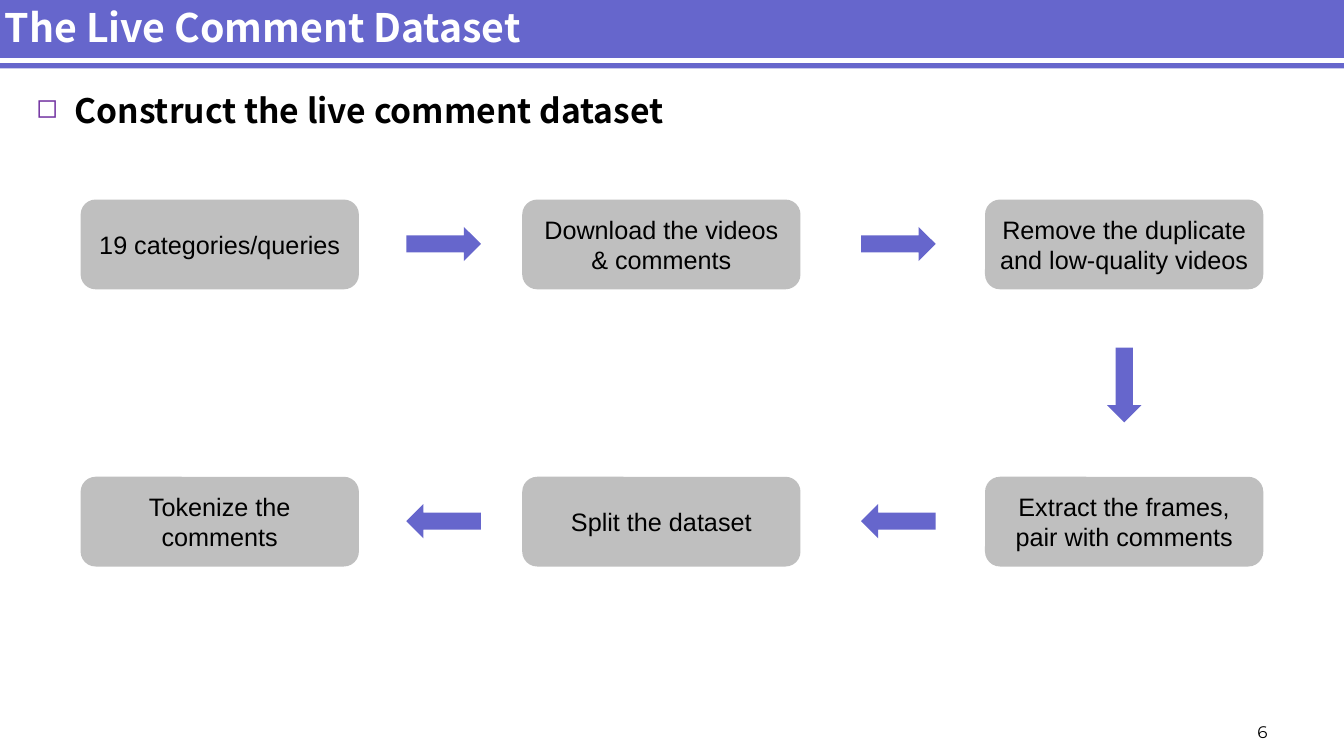
from lxml.etree import SubElement
from pptx import Presentation
from pptx.dml.color import RGBColor
from pptx.enum.shapes import MSO_CONNECTOR, MSO_SHAPE
from pptx.enum.text import MSO_ANCHOR, PP_ALIGN
from pptx.oxml.ns import qn
from pptx.util import Inches, Pt

PURPLE, GRAY, WHITE, BLACK = "6666CC", "BFBFBF", "FFFFFF", "000000"
HEADING_FONT = "Noto Sans CJK SC"
COLUMNS = (0.8, 5.18, 9.77)
ROWS = (1.98, 4.73)
STEP_WIDTH, STEP_HEIGHT = 2.76, 0.89
ARROW_WIDTH, ARROW_HEIGHT = 0.74, 0.34
STEPS = (
    ("19 categories/queries", 0, 0),
    ("Download the videos & comments", 1, 0),
    ("Remove the duplicate and low-quality videos", 2, 0),
    ("Extract the frames, pair with comments", 2, 1),
    ("Split the dataset", 1, 1),
    ("Tokenize the comments", 0, 1),
)
ARROWS = (
    (4.4, 2.42, 0),
    (8.91, 2.42, 0),
    (11.15, 3.82, 90),
    (8.91, 5.17, 180),
    (4.4, 5.17, 180),
)


def color(value):
    """Turn a hex string into a color."""
    return RGBColor.from_string(value)


def write(box, text, size, font, fill=BLACK, bold=False,
          align=PP_ALIGN.LEFT, anchor=MSO_ANCHOR.MIDDLE):
    """Put one styled paragraph in a box and return it."""
    frame = box.text_frame
    frame.word_wrap = True
    frame.vertical_anchor = anchor
    paragraph = frame.paragraphs[0]
    paragraph.text = text
    paragraph.alignment = align
    paragraph.font.size = Pt(size)
    paragraph.font.name = font
    paragraph.font.bold = bold
    paragraph.font.color.rgb = color(fill)
    return paragraph


def add_text(page, place, text, size, font, **style):
    """Add a text box at a place given in inches."""
    box = page.shapes.add_textbox(*map(Inches, place))
    write(box, text, size, font, **style)
    return box


def add_block(page, kind, place, fill):
    """Add a flat filled shape without an outline."""
    block = page.shapes.add_shape(kind, *map(Inches, place))
    block.shadow.inherit = False
    block.fill.solid()
    block.fill.fore_color.rgb = color(fill)
    block.line.fill.background()
    return block


def add_rule(page, left, right, top):
    """Add the white line that splits the title band."""
    rule = page.shapes.add_connector(
        MSO_CONNECTOR.STRAIGHT, Inches(left), Inches(top), Inches(right), Inches(top))
    rule.line.color.rgb = color(WHITE)
    rule.line.width = Pt(3)
    SubElement(rule._element.spPr, qn("a:effectLst"))


def add_topic(page, text):
    """Add the topic line with its hollow square bullet."""
    box = page.shapes.add_textbox(*map(Inches, (0.26, 0.84, 12.6, 6.14)))
    paragraph = box.text_frame.paragraphs[0]
    properties = paragraph._p.get_or_add_pPr()
    properties.set("marL", str(Inches(0.38)))
    properties.set("indent", str(-Inches(0.38)))
    bullet_color = SubElement(properties, qn("a:buClr"))
    SubElement(bullet_color, qn("a:srgbClr"), val="7030A0")
    SubElement(properties, qn("a:buSzPct"), val="80000")
    SubElement(properties, qn("a:buChar"), char="◻")
    write(box, text, 24, HEADING_FONT, bold=True, anchor=MSO_ANCHOR.TOP)
    paragraph.space_after = Pt(12)


def add_step(page, text, column, row):
    """Add one step of the flow in its grid cell."""
    place = (COLUMNS[column], ROWS[row], STEP_WIDTH, STEP_HEIGHT)
    step = add_block(page, MSO_SHAPE.ROUNDED_RECTANGLE, place, GRAY)
    write(step, text, 18, "Arial", align=PP_ALIGN.CENTER)


def add_arrow(page, center, middle, turn):
    """Add a block arrow around its center, turned clockwise."""
    place = (center - ARROW_WIDTH / 2, middle - ARROW_HEIGHT / 2,
             ARROW_WIDTH, ARROW_HEIGHT)
    arrow = add_block(page, MSO_SHAPE.RIGHT_ARROW, place, PURPLE)
    arrow.rotation = turn


def main():
    """Build the slide and save it."""
    deck = Presentation()
    deck.slide_width, deck.slide_height = Inches(13.33), Inches(7.5)
    page = deck.slides.add_slide(deck.slide_layouts[6])
    add_block(page, MSO_SHAPE.RECTANGLE, (-0.05, -0.03, 13.39, 0.71), PURPLE)
    add_rule(page, -0.05, 13.33, 0.6)
    add_text(page, (-0.05, 0.05, 11.69, 0.43), "The Live Comment Dataset",
             28, HEADING_FONT, fill=WHITE, bold=True)
    add_topic(page, "Construct the live comment dataset")
    for step in STEPS:
        add_step(page, *step)
    for arrow in ARROWS:
        add_arrow(page, *arrow)
    add_text(page, (11.5, 7.06, 1.17, 0.35), "6", 12, "Montserrat",
             align=PP_ALIGN.RIGHT, anchor=MSO_ANCHOR.BOTTOM)
    deck.save("out.pptx")


if __name__ == "__main__":
    main()
